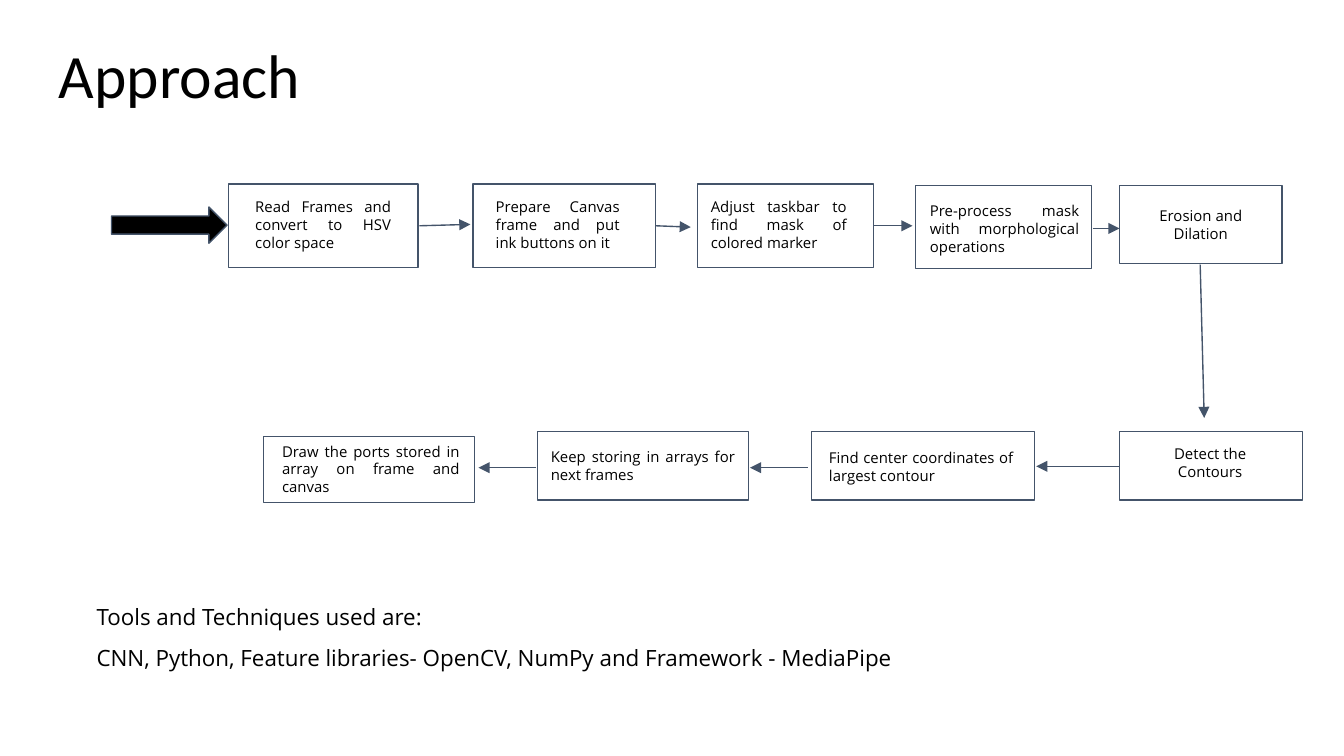
from pptx import Presentation
from pptx.util import Inches, Pt
from pptx.dml.color import RGBColor
from pptx.enum.shapes import MSO_SHAPE as Shape, MSO_CONNECTOR as Connector
from pptx.enum.text import PP_ALIGN as Align, MSO_ANCHOR as Anchor
from pptx.oxml.ns import qn
from lxml import etree

BLACK, SLATE = "000000", "44546A"


def color(value):
    return RGBColor.from_string(value)


def write(box, lines, size, font="Open Sans", align=Align.LEFT, anchor=Anchor.TOP, spacing=1.0):
    frame = box.text_frame
    frame.word_wrap = True
    frame.vertical_anchor = anchor
    frame.margin_left = frame.margin_right = Inches(0.1)
    frame.margin_top = frame.margin_bottom = Inches(0.1)
    para = frame.paragraphs[0]
    para.alignment = align
    para.line_spacing = spacing
    for index, line in enumerate(lines):
        if index:
            para.add_line_break()
        span = para.add_run()
        span.text = line
        span.font.name = font
        span.font.size = Pt(size)
        span.font.color.rgb = color(BLACK)


# Widescreen 16:9 page
deck = Presentation()
deck.slide_width, deck.slide_height = Inches(10), Inches(10 * 9 / 16)
page = deck.slides.add_slide(deck.slide_layouts[6])
shapes = page.shapes

# Title
title = shapes.add_textbox(Inches(0.34), Inches(0.24), Inches(9.32), Inches(0.77))
write(title, ["Approach"], 33, font="Calibri", spacing=0.9)

# Block arrow into the first step
entry = shapes.add_shape(Shape.RIGHT_ARROW, Inches(0.83), Inches(1.54), Inches(0.86), Inches(0.27))
entry.shadow.inherit = False
entry.fill.solid()
entry.fill.fore_color.rgb = color(BLACK)
entry.line.color.rgb = color(SLATE)
entry.line.width = Pt(0.75)

# Steps: outline, separate label area (None: text sits in the outline), alignment, text
steps = [
    ((1.7, 1.37, 1.41, 0.62), (1.8, 1.37, 1.21, 0.51), Align.JUSTIFY,
     "Read Frames and convert to HSV color space"),
    ((3.52, 1.37, 1.36, 0.62), (3.59, 1.37, 1.12, 0.51), Align.JUSTIFY,
     "Prepare Canvas frame and put ink buttons on it"),
    ((5.19, 1.37, 1.31, 0.62), (5.19, 1.37, 1.21, 0.51), Align.JUSTIFY,
     "Adjust taskbar to find mask of colored marker"),
    ((6.81, 1.38, 1.31, 0.62), (6.82, 1.4, 1.31, 0.58), Align.JUSTIFY,
     "Pre-process mask with morphological operations"),
    ((8.33, 1.38, 1.21, 0.58), None, Align.CENTER, "Erosion and Dilation"),
    ((8.33, 3.21, 1.36, 0.51), (8.4, 3.21, 1.21, 0.4), Align.CENTER, "Detect the Contours"),
    ((6.04, 3.21, 1.66, 0.51), (6.07, 3.24, 1.57, 0.49), Align.JUSTIFY,
     "Find center coordinates of largest contour"),
    ((4, 3.21, 1.57, 0.51), None, Align.JUSTIFY, "Keep storing in arrays for next frames"),
    ((1.96, 3.25, 1.57, 0.49), (2, 3.19, 1.52, 0.44), Align.JUSTIFY,
     "Draw the ports stored in array on frame and canvas"),
]
for outline, label_area, align, text in steps:
    box = shapes.add_shape(Shape.RECTANGLE, *map(Inches, outline))
    box.shadow.inherit = False
    box.fill.background()
    box.line.color.rgb = color(SLATE)
    box.line.width = Pt(0.75)
    if label_area:
        label = shapes.add_textbox(*map(Inches, label_area))
        write(label, [text], 8, align=align)
    else:
        write(box, [text], 8, align=align, anchor=Anchor.MIDDLE)

# Arrows between steps: start x, y, end x, y
arrows = [
    (3.12, 1.68, 3.5, 1.67), (4.88, 1.68, 5.14, 1.69),
    (6.5, 1.68, 6.79, 1.68), (8.13, 1.7, 8.33, 1.7),
    (8.93, 1.97, 8.96, 3.11), (8.33, 3.47, 7.71, 3.47),
    (6.01, 3.48, 5.58, 3.48), (3.99, 3.48, 3.56, 3.48),
]
for ends in arrows:
    arrow = shapes.add_connector(Connector.STRAIGHT, *map(Inches, ends))
    arrow.line.color.rgb = color(SLATE)
    arrow.line.width = Pt(0.75)
    etree.SubElement(arrow.line._get_or_add_ln(), qn("a:tailEnd"), type="triangle")
    etree.SubElement(arrow._element.spPr, qn("a:effectLst"))

# Tools
tools = shapes.add_textbox(Inches(0.62), Inches(4.29), Inches(6.34), Inches(0.77))
write(tools, ["Tools and Techniques used are:",
              "CNN, Python, Feature libraries- OpenCV, NumPy and Framework - MediaPipe"],
      12, spacing=1.5)

deck.save("out.pptx")
